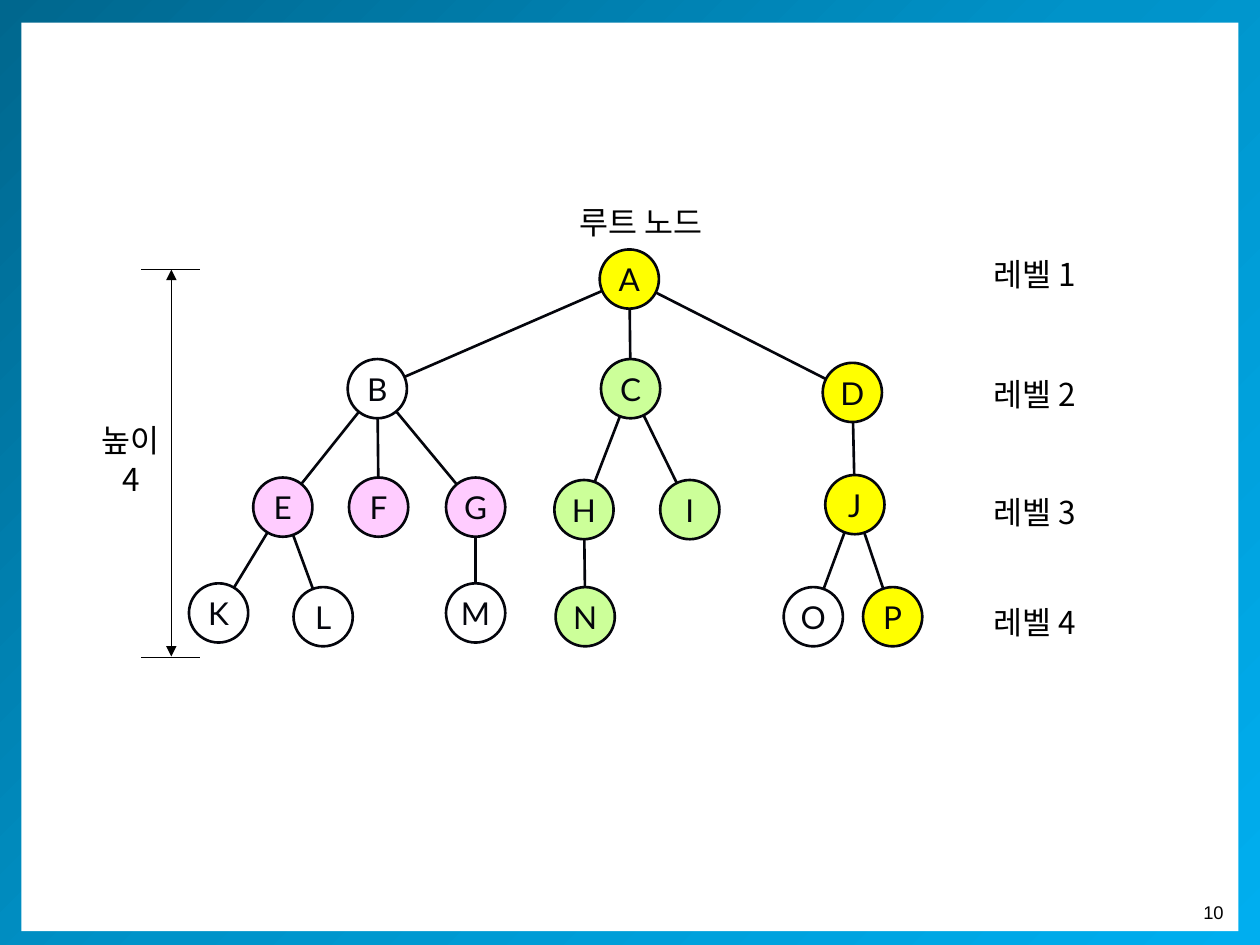
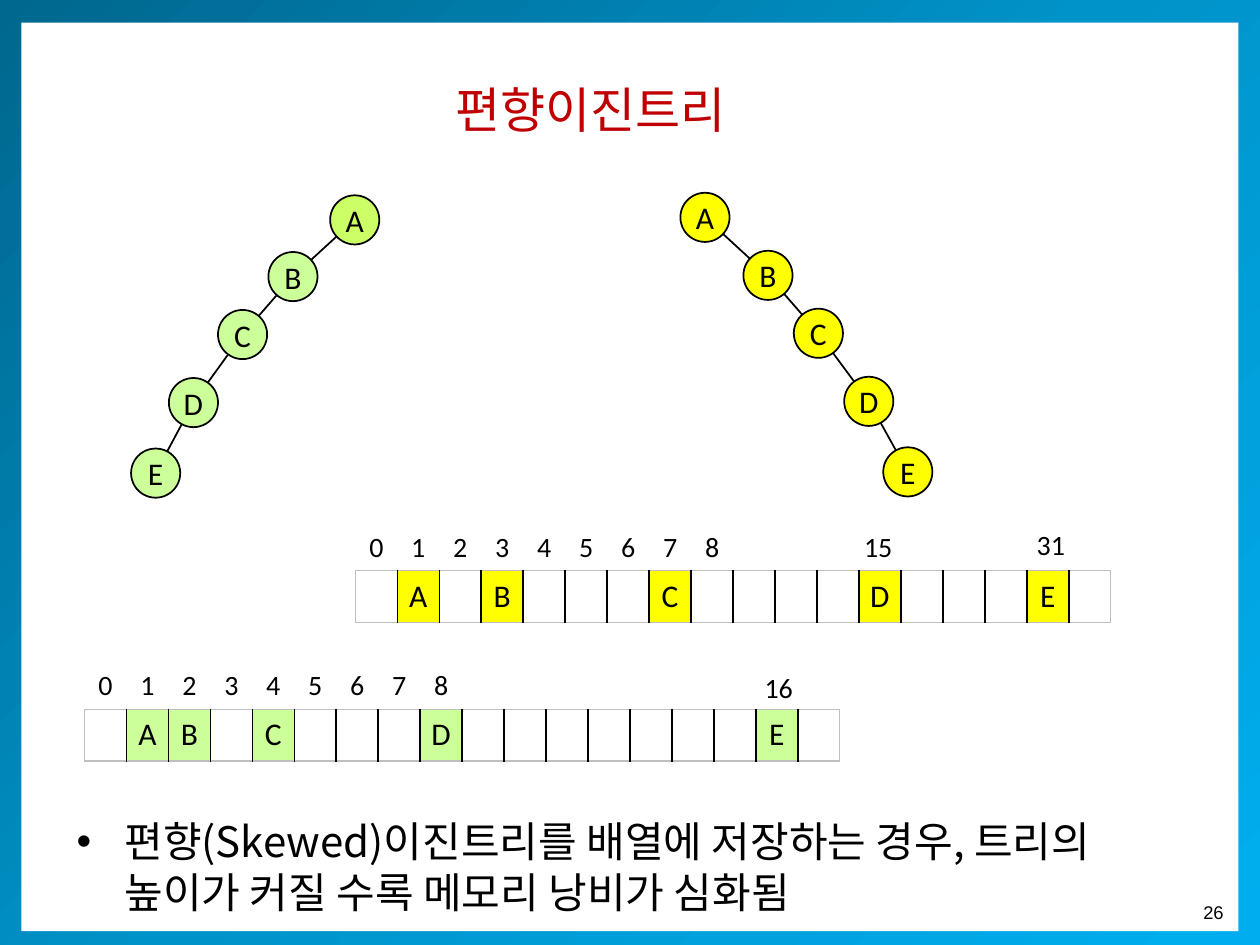
from lxml.etree import SubElement
from pptx import Presentation
from pptx.dml.color import RGBColor
from pptx.enum.shapes import MSO_CONNECTOR, MSO_SHAPE
from pptx.enum.text import MSO_ANCHOR, PP_ALIGN
from pptx.oxml import parse_xml
from pptx.oxml.ns import nsdecls, qn
from pptx.util import Emu, Pt

PX = 9144  # 100 px to the inch
COLORS = {
    "deep": "00678E", "mid": "0093C9", "bright": "00AEEF",
    "white": "FFFFFF", "black": "000000", "ink": "04050C", "title": "C00000",
    "yellow": "FFFF00", "pink": "FFCCFF", "green": "CCFF99", "lime": "CCFF66",
    "grid": "BFBFBF",
}
KOREAN = "Noto Sans CJK KR"
NO_STYLE = "{2D5ABB26-0587-4C30-8999-92F81FD0307C}"
CELLS = 18

# letter: (left, top, fill, parent)
TREE = {
    "A": (476, 198, "yellow", None),
    "B": (276, 285, "white", "A"),
    "C": (477, 285, "green", "A"),
    "D": (653, 288, "yellow", "A"),
    "E": (201, 379, "pink", "B"),
    "F": (277, 379, "pink", "B"),
    "G": (354, 379, "pink", "B"),
    "H": (440, 381, "green", "C"),
    "I": (524, 381, "green", "C"),
    "J": (655, 377, "yellow", "D"),
    "K": (150, 463, "white", "E"),
    "L": (233, 466, "white", "E"),
    "M": (354, 463, "white", "G"),
    "N": (441, 466, "green", "H"),
    "O": (622, 466, "white", "J"),
    "P": (685, 466, "yellow", "J"),
}
LEFT_SKEWED = {
    "A": (262, 155, "lime", None),
    "B": (213, 200, "green", "A"),
    "C": (173, 246, "green", "B"),
    "D": (134, 300, "green", "C"),
    "E": (104, 356, "green", "D"),
}
RIGHT_SKEWED = {
    "A": (540, 153, "yellow", None),
    "B": (590, 199, "yellow", "A"),
    "C": (630, 245, "yellow", "B"),
    "D": (670, 299, "yellow", "C"),
    "E": (701, 355, "yellow", "D"),
}


def px(n):
    return Emu(round(n * PX))


def box(*lengths):
    return [px(n) for n in lengths]


def rgb(name):
    return RGBColor.from_string(COLORS[name])


def style_text(tf, size, font, color, align):
    for p in tf.paragraphs:
        p.alignment = align
        for r in p.runs:
            r.font.size = Pt(size)
            r.font.name = font
            r.font.color.rgb = rgb(color)


def add_text(slide, text, left, top, width, height, size=18, font=KOREAN,
             color="black", align=PP_ALIGN.CENTER, wrap=True):
    tf = slide.shapes.add_textbox(*box(left, top, width, height)).text_frame
    tf.word_wrap = wrap
    tf.text = text
    style_text(tf, size, font, color, align)
    return tf


def set_korean(tf, line_height):
    """Use the Korean font for Hangul, with a fixed line height in points."""
    for p in tf.paragraphs:
        p.line_spacing = Pt(line_height)
        for r in p.runs:
            SubElement(r.font._element, qn("a:ea"), typeface=KOREAN)


def add_label(slide, text, left, top, width, height):
    set_korean(add_text(slide, text, left, top, width, height), 22)


def add_line(slide, x1, y1, x2, y2, color="black", weight=0.75, arrows=False):
    ln = slide.shapes.add_connector(MSO_CONNECTOR.STRAIGHT, *box(x1, y1, x2, y2))
    ln.line.color.rgb = rgb(color)
    ln.line.width = Pt(weight)
    if arrows:
        for end in ("a:headEnd", "a:tailEnd"):
            SubElement(ln.line._get_or_add_ln(), qn(end), type="triangle")
    SubElement(ln._element.spPr, qn("a:effectLst"))


def add_node(slide, letter, left, top, size, fill, ink, weight, font):
    sp = slide.shapes.add_shape(MSO_SHAPE.OVAL, *box(left, top, size, size))
    sp.shadow.inherit = False
    sp.fill.solid()
    sp.fill.fore_color.rgb = rgb(fill)
    sp.line.color.rgb = rgb(ink)
    sp.line.width = Pt(weight)
    tf = sp.text_frame
    tf.margin_left = tf.margin_right = tf.margin_top = tf.margin_bottom = 0
    tf.vertical_anchor = MSO_ANCHOR.MIDDLE
    tf.word_wrap = False
    tf.text = letter
    style_text(tf, 18, font, ink, PP_ALIGN.CENTER)


def add_tree(slide, nodes, size, ink, weight, font):
    """Draw the edges from centre to centre, then the nodes over them."""
    half = size / 2
    for left, top, _, parent in nodes.values():
        if parent:
            x, y = nodes[parent][:2]
            add_line(slide, x + half, y + half, left + half, top + half, ink, weight)
    for letter, (left, top, fill, _) in nodes.items():
        add_node(slide, letter, left, top, size, fill, ink, weight, font)


def set_border(cell, side, color, weight):
    tcPr = cell._tc.get_or_add_tcPr()
    ln = SubElement(tcPr, qn(f"a:ln{side}"), w=str(Pt(weight)))
    SubElement(SubElement(ln, qn("a:solidFill")), qn("a:srgbClr"), val=COLORS[color])


def add_row(slide, left, top, texts, size, fill=None, grid=False):
    """Add a one-row table; texts maps a column to what it holds."""
    table = slide.shapes.add_table(1, CELLS, *box(left, top, 600, 41)).table
    table.first_row = table.horz_banding = False
    table._tbl.tblPr.find(qn("a:tableStyleId")).text = NO_STYLE
    for i in range(CELLS):
        table.columns[i].width = px(600 / CELLS)
        cell = table.cell(0, i)
        cell.margin_left = cell.margin_right = 0
        cell.vertical_anchor = MSO_ANCHOR.MIDDLE
        if grid:
            set_border(cell, "L", *(("black", 1) if i else ("grid", 0.75)))
            set_border(cell, "R", *(("black", 1) if i < CELLS - 1 else ("grid", 0.75)))
            set_border(cell, "T", "grid", 0.75)
            set_border(cell, "B", "grid", 0.75)
        if i in texts:
            cell.text = texts[i]
            style_text(cell.text_frame, size, "Calibri", "black", PP_ALIGN.CENTER)
        if fill and i in texts:
            cell.fill.solid()
            cell.fill.fore_color.rgb = rgb(fill)
        else:
            cell.fill.background()


def add_array(slide, left, top, letters, fill, far_indexes):
    """Add an array with its indexes above; far_indexes: (text, left, top)."""
    add_row(slide, left, top, letters, 18, fill, grid=True)
    add_row(slide, left, top - 39, {i: str(i) for i in range(9)}, 16)
    for text, x, y in far_indexes:
        add_text(slide, text, x, y, 48, 37, 16, "Calibri")


def add_panel(slide, left, top, width, height):
    sp = slide.shapes.add_shape(MSO_SHAPE.RECTANGLE, *box(left, top, width, height))
    sp.shadow.inherit = False
    sp.line.fill.background()
    sp.fill.solid()
    sp.fill.fore_color.rgb = rgb("white")
    return sp


def add_framed_slide(prs, number):
    slide = prs.slides.add_slide(prs.slide_layouts[6])
    spPr = add_panel(slide, 0, 0, 1000, 750)._element.spPr
    stops = "".join(
        f'<a:gs pos="{pos}"><a:srgbClr val="{COLORS[name]}"/></a:gs>'
        for pos, name in ((0, "deep"), (50000, "mid"), (100000, "bright")))
    gradient = parse_xml(
        f'<a:gradFill {nsdecls("a")} rotWithShape="1"><a:gsLst>{stops}</a:gsLst>'
        '<a:lin ang="2700000" scaled="0"/></a:gradFill>')
    spPr.replace(spPr.find(qn("a:solidFill")), gradient)
    add_panel(slide, 17, 18, 966, 721)
    add_text(slide, str(number), 942, 710, 39, 28, 10.5, "Arial",
             align=PP_ALIGN.RIGHT, wrap=False)
    return slide


def add_title(slide, text, left, top, width, height):
    tf = add_text(slide, text, left, top, width, height, 28, "Calibri", "title",
                  PP_ALIGN.LEFT, wrap=False)
    set_korean(tf, 34)


def add_bullet(slide, text, left, top, width, height):
    tf = add_text(slide, text, left, top, width, height, 24, align=PP_ALIGN.LEFT)
    set_korean(tf, 29)
    pPr = tf.paragraphs[0]._p.get_or_add_pPr()
    pPr.set("marL", str(px(38)))
    pPr.set("indent", str(px(-38)))
    SubElement(pPr, qn("a:buFont"), typeface="Arial")
    SubElement(pPr, qn("a:buChar"), char="•")


def build_tree_levels(prs):
    slide = add_framed_slide(prs, 10)
    add_tree(slide, TREE, 47, "ink", 1.5, "Lato")
    add_label(slide, "루트 노드", 435, 156, 148, 40)
    for level, top in enumerate((197, 292, 386, 473), 1):
        add_label(slide, f"레벨 {level}", 758, top, 126, 40)
    add_line(slide, 136, 521, 136, 214, arrows=True)
    for y in (214, 522):
        add_line(slide, 112, y, 159, y)
    add_label(slide, "높이\n4", 41, 329, 126, 71)


def build_skewed_trees(prs):
    slide = add_framed_slide(prs, 26)
    add_title(slide, "편향이진트리", 352, 58, 256, 57)
    for nodes in (LEFT_SKEWED, RIGHT_SKEWED):
        add_tree(slide, nodes, 39, "black", 1, "Calibri")
    add_array(slide, 67, 563, {1: "A", 2: "B", 4: "C", 8: "D", 16: "E"}, "green",
              [("16", 594, 527)])
    add_array(slide, 282, 453, {1: "A", 3: "B", 7: "C", 12: "D", 16: "E"}, "yellow",
              [("15", 673, 415), ("31", 810, 414)])
    add_bullet(slide, "편향(Skewed)이진트리를 배열에 저장하는 경우, 트리의 높이가 "
               "커질 수록 메모리 낭비가 심화됨", 51, 642, 902, 91)


def main():
    prs = Presentation()
    prs.slide_width, prs.slide_height = box(1000, 750)
    build_tree_levels(prs)
    build_skewed_trees(prs)
    prs.save("out.pptx")


if __name__ == "__main__":
    main()
